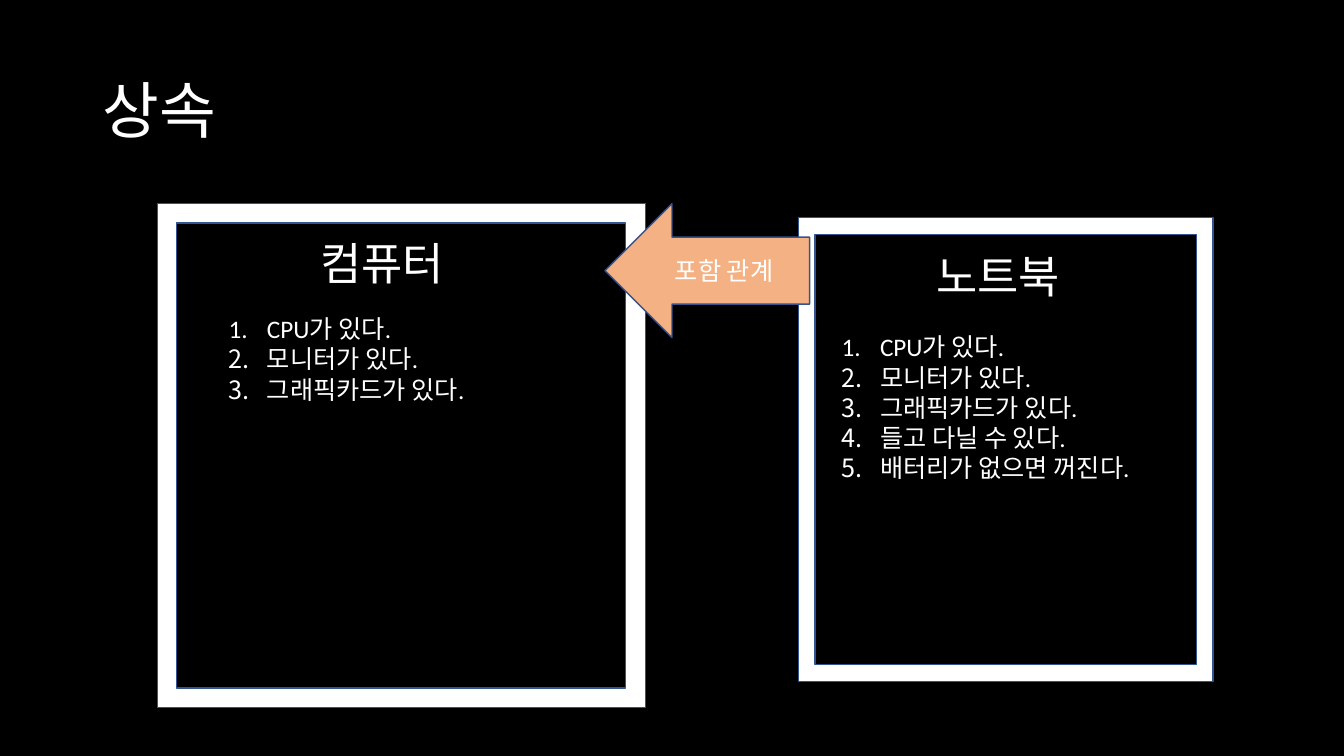
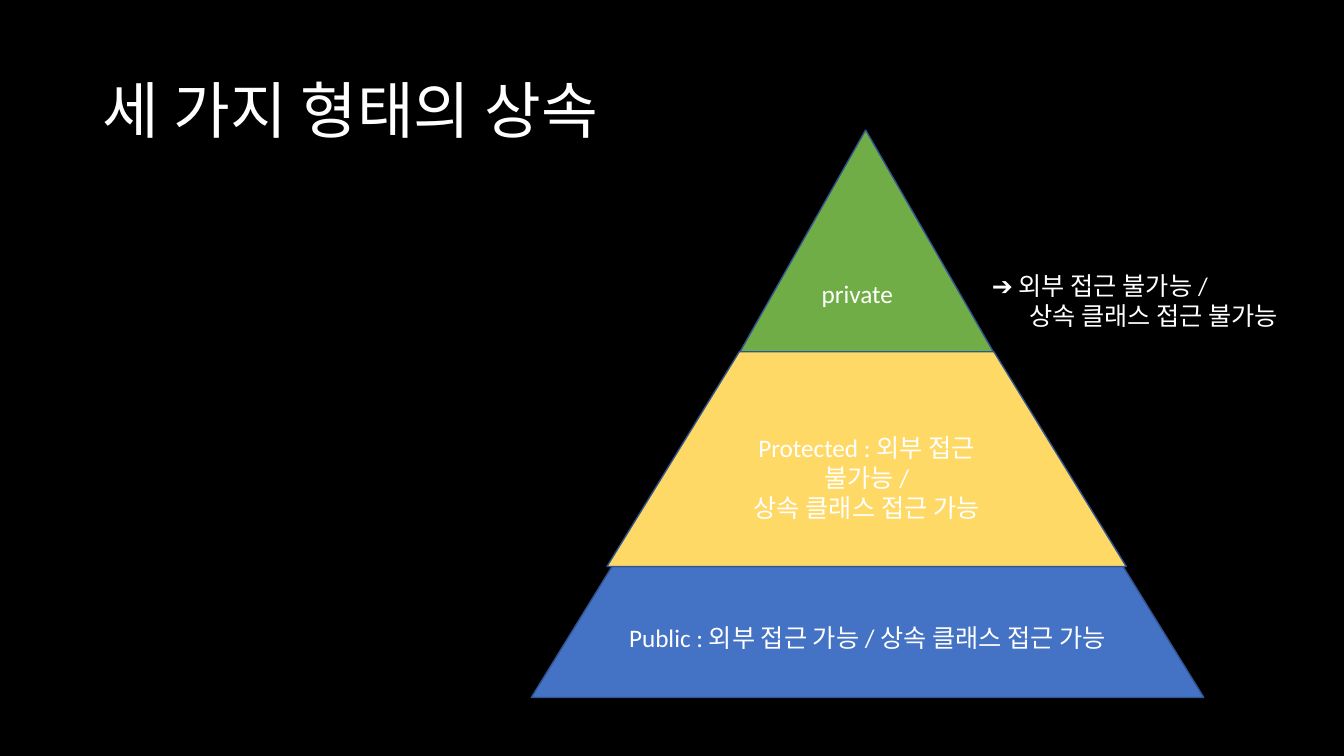
from dataclasses import dataclass

from lxml.etree import SubElement
from pptx import Presentation
from pptx.dml.color import RGBColor
from pptx.enum.shapes import MSO_SHAPE
from pptx.enum.text import MSO_ANCHOR, MSO_AUTO_SIZE, PP_ALIGN
from pptx.oxml.ns import qn
from pptx.util import Inches, Pt


@dataclass(frozen=True)
class Theme:
    font: str = "Calibri"
    background: str = "000000"
    text: str = "FFFFFF"
    outline: str = "325491"
    frame: str = "FFFFFF"
    arrow: str = "F4B183"
    private: str = "70AD47"
    protected: str = "FFD966"
    public: str = "4472C4"
    title_size: int = 44
    heading_size: int = 32
    body_size: int = 18
    outline_width: int = 1


THEME = Theme()

TITLE_BOX = (0.92, 0.4, 11.5, 1.45)
INHERITANCE_TITLE = "상속"
ACCESS_TITLE = "세 가지 형태의 상속"

COMPUTER_FEATURES = ["CPU가 있다.", "모니터가 있다.", "그래픽카드가 있다."]
NOTEBOOK_FEATURES = COMPUTER_FEATURES + ["들고 다닐 수 있다.", "배터리가 없으면 꺼진다."]
CLASSES = [
    {
        "name": "컴퓨터",
        "features": COMPUTER_FEATURES,
        "frame": (1.56, 2.02, 4.84, 5),
        "heading": (2.44, 2.29, 2.7, 0.64),
        "list": (2.17, 3.06, 3.4, 1.01),
    },
    {
        "name": "노트북",
        "features": NOTEBOOK_FEATURES,
        "frame": (7.92, 2.16, 4.11, 4.6),
        "heading": (8.55, 2.42, 2.7, 0.64),
        "list": (8.25, 3.24, 3.21, 1.92),
    },
]
FRAME_THICKNESS = 0.04
LIST_INDENT = 0.38
RELATION = ("포함 관계", (6, 2.02, 2.03, 1.33))

LEVEL_SLOPE = 0.616
DEFAULT_INSET = 0.1
PROTECTED_INSET = 0.5
LEVELS = [
    (MSO_SHAPE.ISOSCELES_TRIANGLE, (6.87, 1.29, 3.46, 3.03), THEME.private, [],
     0.496, DEFAULT_INSET),
    (MSO_SHAPE.TRAPEZOID, (5.27, 5.62, 6.67, 1.3), THEME.public,
     ["Public : 외부 접근 가능 / 상속 클래스 접근 가능"],
     LEVEL_SLOPE, DEFAULT_INSET),
    (MSO_SHAPE.TRAPEZOID, (6.02, 3.49, 5.15, 2.13), THEME.protected,
     ["Protected : 외부 접근 불가능 /", "상속 클래스 접근 가능"],
     LEVEL_SLOPE, PROTECTED_INSET),
]
PRIVATE_LABEL = ("private", (8.05, 2.71, 1.25, 0.4))
PRIVATE_RULES = ["➔ 외부 접근 불가능 /", "상속 클래스 접근 불가능"]
PRIVATE_RULES_BOX = (9.69, 2.63, 3.5, 0.71)
PRIVATE_RULES_INDENTS = [0.05, 0.42]


def place(box):
    return [Inches(length) for length in box]


def write(frame, lines, size=THEME.body_size, align=PP_ALIGN.LEFT):
    frame.word_wrap = True
    frame.text = "\n".join(lines)
    for paragraph in frame.paragraphs:
        paragraph.alignment = align
        paragraph.font.name = THEME.font
        paragraph.font.size = Pt(size)
        paragraph.font.color.rgb = RGBColor.from_string(THEME.text)
    return frame.paragraphs


def add_text(slide, box, lines, **style):
    return write(slide.shapes.add_textbox(*place(box)).text_frame, lines, **style)


def add_block(slide, kind, box, fill, lines=(), adjustment=None, inset=DEFAULT_INSET):
    block = slide.shapes.add_shape(kind, *place(box))
    block.shadow.inherit = False
    block.fill.solid()
    block.fill.fore_color.rgb = RGBColor.from_string(fill)
    block.line.color.rgb = RGBColor.from_string(THEME.outline)
    block.line.width = Pt(THEME.outline_width)
    if adjustment is not None:
        block.adjustments[0] = adjustment
    if lines:
        frame = block.text_frame
        frame.vertical_anchor = MSO_ANCHOR.MIDDLE
        frame.margin_left = frame.margin_right = Inches(inset)
        write(frame, lines, align=PP_ALIGN.CENTER)


def indent(paragraph, left, first=0):
    properties = paragraph._p.get_or_add_pPr()
    properties.set("marL", str(Inches(left)))
    properties.set("indent", str(Inches(first)))
    return properties


def add_numbered_list(slide, box, items):
    for paragraph in add_text(slide, box, items):
        properties = indent(paragraph, LIST_INDENT, -LIST_INDENT)
        numbering = SubElement(properties, qn("a:buAutoNum"), type="arabicPeriod")
        properties.insert(0, numbering)


def add_titled_slide(deck, heading):
    slide = deck.slides.add_slide(deck.slide_layouts[5])
    title = slide.shapes.title
    title.left, title.top, title.width, title.height = place(TITLE_BOX)
    title.text_frame.auto_size = MSO_AUTO_SIZE.NONE
    title.text_frame.vertical_anchor = MSO_ANCHOR.MIDDLE
    write(title.text_frame, [heading], size=THEME.title_size)[0].line_spacing = 0.9
    return slide


def build_inheritance(deck):
    slide = add_titled_slide(deck, INHERITANCE_TITLE)
    for item in CLASSES:
        add_block(slide, MSO_SHAPE.FRAME, item["frame"], THEME.frame,
                  adjustment=FRAME_THICKNESS)
        add_text(slide, item["heading"], [item["name"]],
                 size=THEME.heading_size, align=PP_ALIGN.CENTER)
        add_numbered_list(slide, item["list"], item["features"])
    label, box = RELATION
    add_block(slide, MSO_SHAPE.LEFT_ARROW, box, THEME.arrow, [label])


def build_access_levels(deck):
    slide = add_titled_slide(deck, ACCESS_TITLE)
    for level in LEVELS:
        add_block(slide, *level)
    label, box = PRIVATE_LABEL
    add_text(slide, box, [label])
    rules = add_text(slide, PRIVATE_RULES_BOX, PRIVATE_RULES)
    for paragraph, left in zip(rules, PRIVATE_RULES_INDENTS):
        indent(paragraph, left)


def main():
    deck = Presentation()
    deck.slide_width, deck.slide_height = Inches(13.33), Inches(7.5)
    backdrop = deck.slide_master.background.fill
    backdrop.solid()
    backdrop.fore_color.rgb = RGBColor.from_string(THEME.background)
    build_inheritance(deck)
    build_access_levels(deck)
    deck.save("out.pptx")


if __name__ == "__main__":
    main()
